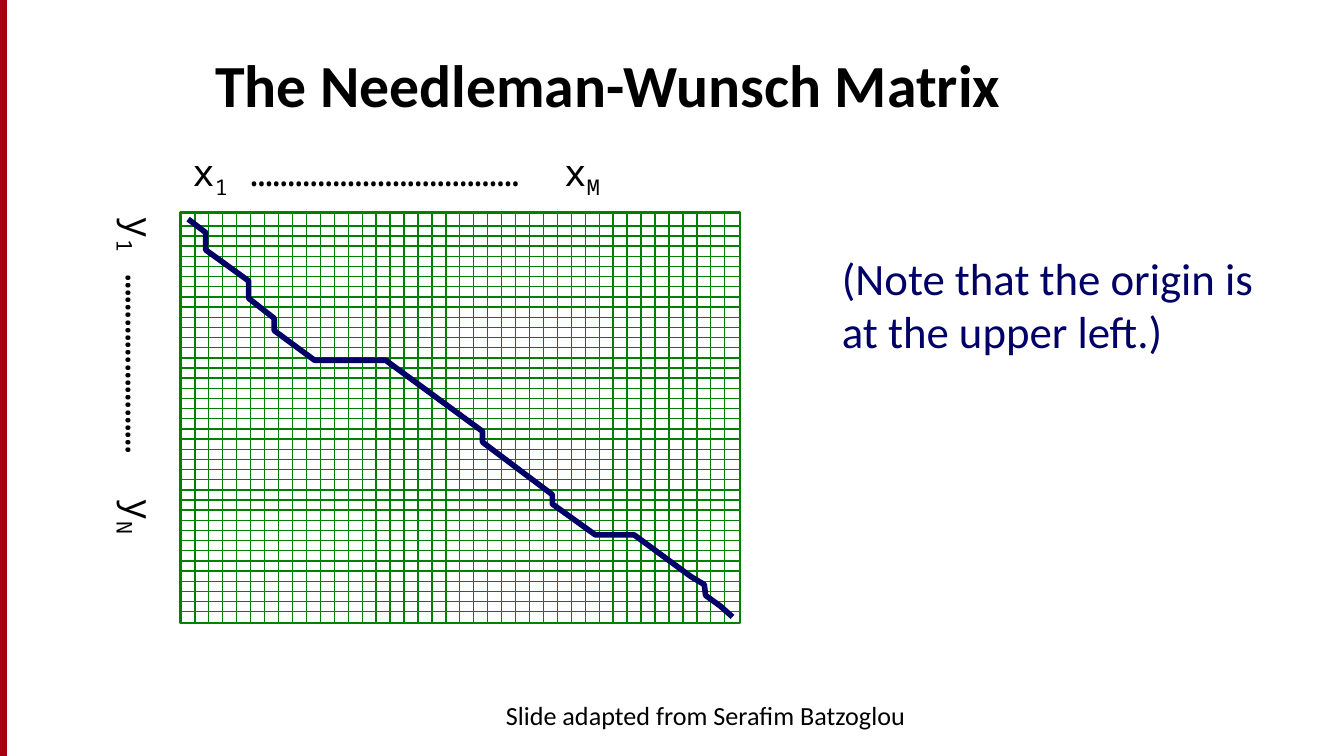
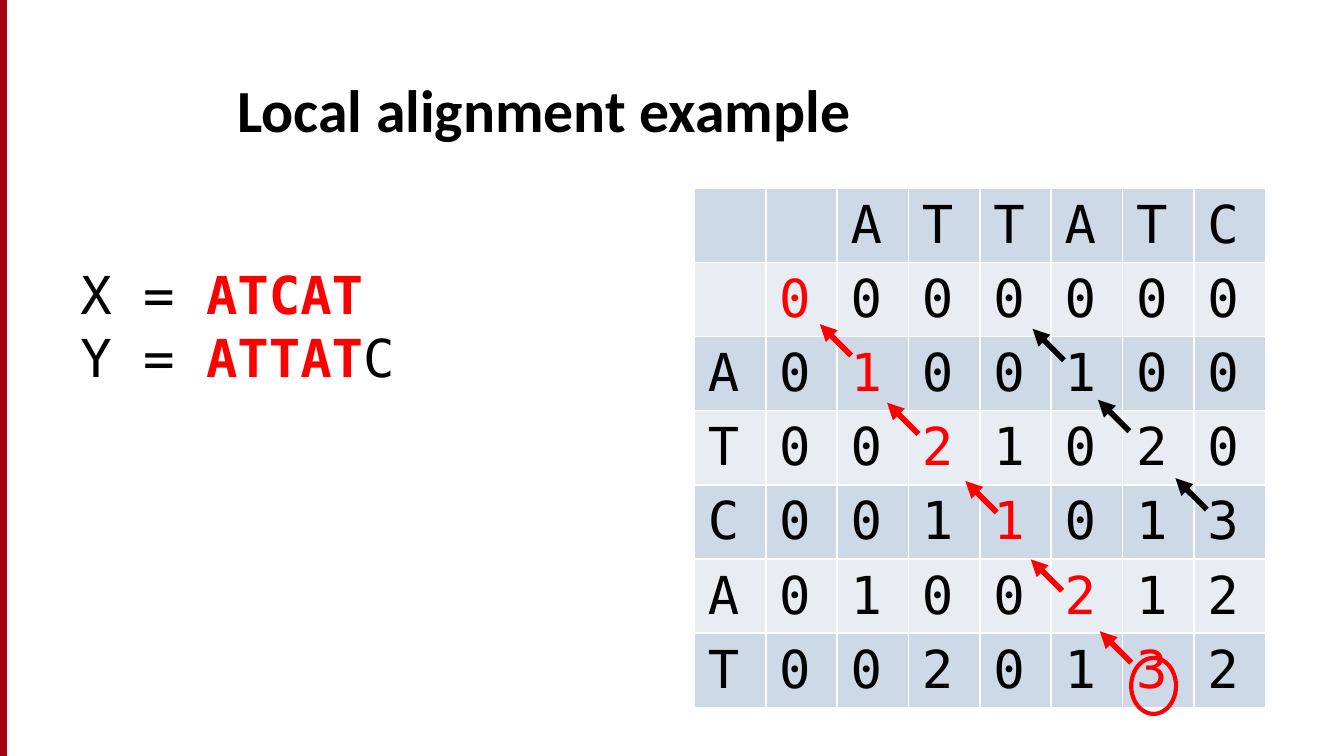
"""Build two slides on sequence alignment: the Needleman-Wunsch matrix and a local alignment example."""

import lxml.etree
import pptx
import pptx.dml.color
import pptx.enum.shapes
import pptx.enum.text
import pptx.oxml.ns
import pptx.util

COLORS = {
    "black": "000000",
    "white": "FFFFFF",
    "red": "FF0000",
    "navy": "000066",
    "green": "008000",
    "band": "A40508",
    "band_edge": "A4001D",
    "row_dark": "CDD9E7",
    "row_light": "E8EDF3",
}
TITLE = {"name": "Calibri", "size": 32, "bold": True}
CREDIT = {"name": "Calibri", "size": 14}
NOTE = {"name": "Calibri", "size": 24, "color": "navy"}
AXIS = {"name": "Noto Sans Mono", "size": 20}
SEQUENCE = {"name": "DejaVu Sans Mono", "size": 28}
MATCH = {"color": "red", "bold": True}
SUBSCRIPT = {"baseline": -25000}

ALIGNMENT_PATH = [
    (392.4, 330.5), (385.9, 324.7), (378, 319), (377.3, 313.2), (370.1, 308.9),
    (339.8, 286.6), (319, 286.6), (295.9, 270), (295.9, 265), (258.5, 236.9),
    (258.5, 231.1), (206.6, 193), (168.5, 193), (146.9, 177.1), (146.9, 170.6),
    (133.2, 159.8), (133.2, 150.5), (110.2, 133.9), (110.2, 124.6), (100.8, 117.4),
]
SCORES = [
    "  ATTATC",
    " 0000000",
    "A0100100",
    "T0021020",
    "C0011013",
    "A0100212",
    "T0020132",
]
ARROW_STARTS = {
    "black": [(646.5, 273), (605, 231), (570, 193)],
    "red": [(606, 355), (569, 316.5), (534, 274.5), (492, 232.5), (456, 190.5)],
}


def points(*values):
    return [pptx.util.Pt(value) for value in values]


def rgb(color):
    return pptx.dml.color.RGBColor.from_string(COLORS[color])


def add_element(parent, tag, **attributes):
    return lxml.etree.SubElement(parent, pptx.oxml.ns.qn(tag), attributes)


def format_line(line, color, width):
    line.color.rgb = rgb(color)
    line.width = pptx.util.Pt(width)


def add_run(paragraph, text, style):
    run = paragraph.add_run()
    run.text = text
    values = {"color": "black", "bold": False, **style}
    run.font.color.rgb = rgb(values.pop("color"))
    if "baseline" in values:
        run._r.get_or_add_rPr().set("baseline", str(values.pop("baseline")))
    values["size"] = pptx.util.Pt(values["size"])
    for name, value in values.items():
        setattr(run.font, name, value)


def add_text(slide, box, lines, style, rotation=0, **frame_values):
    shape = slide.shapes.add_textbox(*points(*box))
    shape.rotation = rotation
    frame = shape.text_frame
    values = {"word_wrap": True, "auto_size": pptx.enum.text.MSO_AUTO_SIZE.SHAPE_TO_FIT_TEXT}
    for name, value in {**values, **frame_values}.items():
        setattr(frame, name, value)
    for index, runs in enumerate(lines):
        paragraph = frame.add_paragraph() if index else frame.paragraphs[0]
        for text, changes in runs:
            add_run(paragraph, text, {**style, **changes})
    return shape


def add_outline(shape, color, width, fill=None):
    shape.shadow.inherit = False
    if fill:
        shape.fill.solid()
        shape.fill.fore_color.rgb = rgb(fill)
    else:
        shape.fill.background()
    format_line(shape.line, color, width)


def add_preset(slide, kind, box, color, width, fill=None):
    shape = slide.shapes.add_shape(kind, *points(*box))
    add_outline(shape, color, width, fill)


def add_line(slide, start, end, color, width, arrow=False):
    connector = slide.shapes.add_connector(
        pptx.enum.shapes.MSO_CONNECTOR.STRAIGHT, *points(*start, *end))
    format_line(connector.line, color, width)
    if arrow:
        add_element(connector.line._get_or_add_ln(), "a:tailEnd", type="triangle")
    add_element(connector._element.spPr, "a:effectLst")


def add_path(slide, vertices, color, width):
    start, *rest = [points(*vertex) for vertex in vertices]
    builder = slide.shapes.build_freeform(*start)
    builder.add_line_segments(rest, close=False)
    add_outline(builder.convert_to_shape(), color, width)


def add_titled_slide(presentation, text, box):
    slide = presentation.slides.add_slide(presentation.slide_layouts[5])
    add_preset(slide, pptx.enum.shapes.MSO_SHAPE.RECTANGLE, (0, 0, 3.6, 405),
               "band_edge", 0.75, "band")
    title = slide.shapes.title
    for name, value in zip(("left", "top", "width", "height"), points(*box)):
        setattr(title, name, value)
    frame = title.text_frame
    frame.auto_size = pptx.enum.text.MSO_AUTO_SIZE.NONE
    frame.vertical_anchor = pptx.enum.text.MSO_ANCHOR.BOTTOM
    paragraph = frame.paragraphs[0]
    paragraph.alignment = pptx.enum.text.PP_ALIGN.LEFT
    add_run(paragraph, text, TITLE)
    return slide


def add_grid(slide, left, top, width, height):
    add_preset(slide, pptx.enum.shapes.MSO_SHAPE.RECTANGLE,
               (left, top, width, height), "green", 1.5)
    for index in range(39):
        y = top + 7.2 + 5.44 * index
        add_line(slide, (left, y), (left + width, y), "green", 0.75)
    for index in range(39):
        x = left + 7.9 + 7.47 * index
        add_line(slide, (x, top + height), (x, top), "green", 0.75)


def add_cell_borders(cell, color, width):
    properties = cell._tc.get_or_add_tcPr()
    for side in ("a:lnL", "a:lnR", "a:lnT", "a:lnB"):
        border = add_element(properties, side, w=str(pptx.util.Pt(width)))
        fill = add_element(border, "a:solidFill")
        add_element(fill, "a:srgbClr", val=COLORS[color])


def add_score_table(slide, box):
    table = slide.shapes.add_table(len(SCORES), len(SCORES[0]), *points(*box)).table
    table.first_row = False
    table.horz_banding = False
    for row, letters in enumerate(SCORES):
        for column, letter in enumerate(letters):
            cell = table.cell(row, column)
            add_cell_borders(cell, "white", 1)
            cell.fill.solid()
            cell.fill.fore_color.rgb = rgb("row_light" if row % 2 else "row_dark")
            if letter != " ":
                color = "red" if row == column else "black"
                add_run(cell.text_frame.paragraphs[0], letter, {**SEQUENCE, "color": color})


def build_matrix_slide(presentation):
    slide = add_titled_slide(presentation, "The Needleman-Wunsch Matrix", (108, 0, 612, 67.5))
    credit = add_text(slide, (240, 371, 276, 27),
                      [[("Slide adapted from Serafim Batzoglou", {})]], CREDIT,
                      auto_size=pptx.enum.text.MSO_AUTO_SIZE.NONE)
    credit.text_frame.paragraphs[0].alignment = pptx.enum.text.PP_ALIGN.CENTER
    add_grid(slide, 96.5, 113.8, 300, 220)
    add_path(slide, ALIGNMENT_PATH, "navy", 3)
    add_text(slide, (96, 76.3, 312.5, 31.5),
             [[("x", {}), ("1", SUBSCRIPT), (" ………………………………  x", {}), ("M", SUBSCRIPT)]],
             AXIS, word_wrap=False)
    add_text(slide, (-40.3, 208.8, 231.1, 31.5),
             [[("y", {}), ("1", SUBSCRIPT), (" ……………………  y", {}), ("N", SUBSCRIPT)]],
             AXIS, rotation=90, word_wrap=False)
    add_text(slide, (444, 130.5, 252, 65.5),
             [[("(Note that the origin is at the upper left.)", {})]], NOTE)


def build_local_alignment_slide(presentation):
    slide = add_titled_slide(presentation, "Local alignment example", (120, 22.5, 588, 58.5))
    add_score_table(slide, (372, 100.8, 306, 277.9))
    for color, starts in ARROW_STARTS.items():
        for x, y in starts:
            add_line(slide, (x, y), (x - 16.8, y - 16.8), color, 3, arrow=True)
    add_text(slide, (36, 137, 234, 104.4),
             [[("X = ", {}), ("ATCAT", MATCH)],
              [("Y = ", {}), ("ATTAT", MATCH), ("C", {})]], SEQUENCE)
    add_preset(slide, pptx.enum.shapes.MSO_SHAPE.OVAL, (606, 352.5, 24, 30), "red", 2.25)


def main():
    presentation = pptx.Presentation()
    presentation.slide_width, presentation.slide_height = points(720, 405)
    build_matrix_slide(presentation)
    build_local_alignment_slide(presentation)
    presentation.save("out.pptx")


if __name__ == "__main__":
    main()
